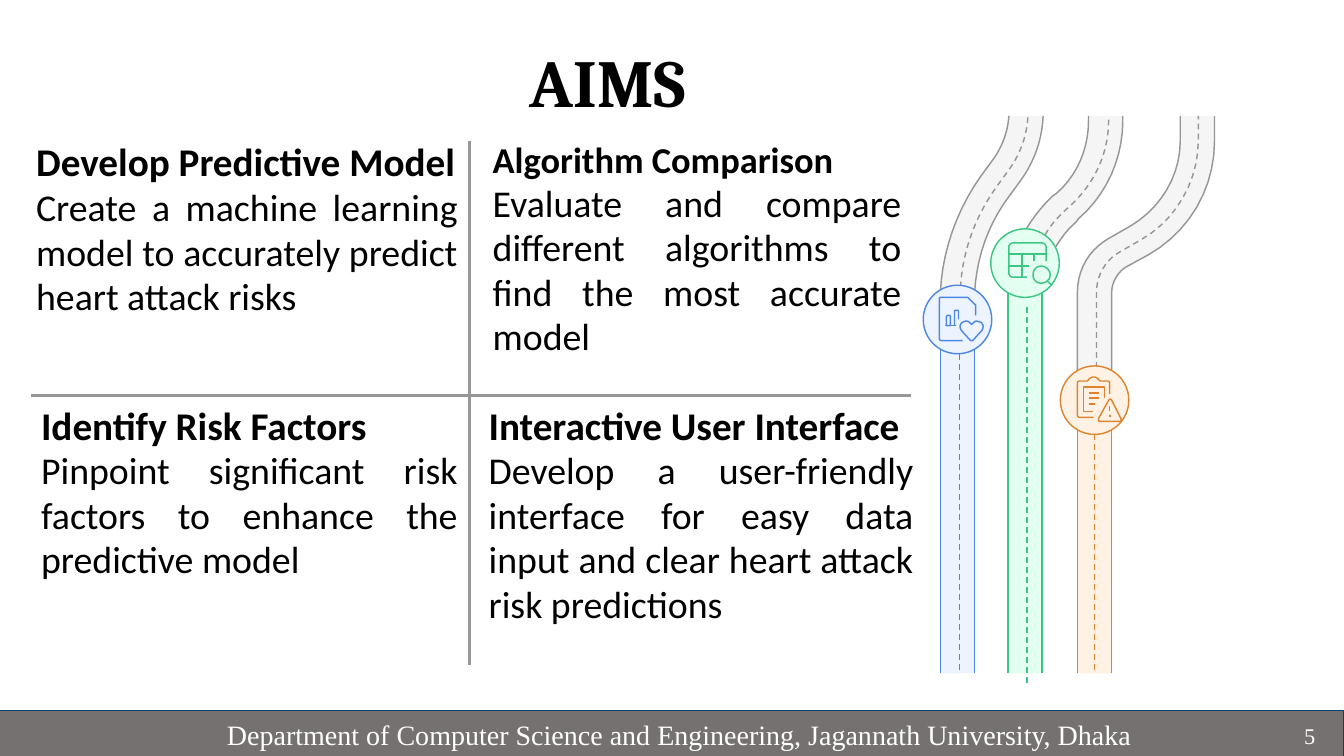
from lxml import etree
from pptx import Presentation
from pptx import util as u
from pptx.dml.color import RGBColor
from pptx.enum import dml, shapes, text
from pptx.oxml.ns import qn

UNIT = 0.0254

COLORS = {
    "black": "000000", "white": "FFFFFF", "gray": "969696", "road": "F5F5F5",
    "footer": "767171", "footer_edge": "034373",
    "orange": "DE8431", "orange_fill": "FFF2E5",
    "green": "3CC583", "green_fill": "E3FFF2",
    "blue": "4E88E7", "blue_fill": "EDF4FF",
}
TITLE = ("AIMS", (264, 36, 677, 88))
AIMS = [
    ("Develop Predictive Model", 28, "Create a machine learning model to accurately predict heart attack risks",
     (26, 134, 438, 253)),
    ("Algorithm Comparison", 26, "Evaluate and compare different algorithms to find the most accurate model",
     (479, 133, 425, 253)),
    ("Identify Risk Factors", 28, "Pinpoint significant risk factors to enhance the predictive model",
     (31, 395, 433, 265)),
    ("Interactive User Interface", 28,
     "Develop a user-friendly interface for easy data input and clear heart attack risk predictions",
     (475, 395, 441, 258)),
]
FOOTER = ("Department of Computer Science and Engineering, Jagannath University, Dhaka", (0, 705, 1333, 46))
PAGE = ("5", (1259, 710, 56, 40))
DIVIDERS = [(466, 140, 466, 660), (904, 392, 31, 392)]

ROADS = [
    ("M 933 290 C 935 249 949 209 973 175 L 984 160 C 994 147 1000 131 1001 115",
     "M 967 290 C 969 256 980 223 1001 195 L 1012 180 C 1026 161 1034 139 1035 115",
     "M 953 285 C 955 249 968 214 989 185 L 1000 170 C 1012 154 1019 135 1020 115"),
    ("M 1017 229 C 1025 216 1034 204 1045 194 L 1048 192 C 1069 174 1080 147 1080 120 L 1080 115",
     "M 1048 245 C 1048 244 1049 242 1050 241 C 1055 233 1061 226 1068 220 L 1070 217 "
     "C 1098 193 1114 157 1114 120 L 1114 115",
     "M 1037 233 C 1043 222 1052 213 1061 205 C 1086 183 1100 152 1100 120 L 1100 115"),
    ("M 1069 370 L 1069 290 C 1069 267 1081 247 1101 236 L 1122 224 C 1152 206 1171 174 1171 140 L 1171 115",
     "M 1103 370 L 1103 290 C 1103 280 1109 270 1117 265 L 1139 253 C 1180 230 1205 187 1205 140 L 1205 115",
     "M 1088 365 L 1088 290 C 1088 273 1097 258 1111 250 L 1132 238 C 1167 218 1189 180 1189 139 L 1189 115"),
]

WARNING_ICON = (
    "M 1096 395 L 1096 384 L 1075 384 L 1075 408 L 1084 408 "
    "M 1085 414 L 1071 414 C 1070 414 1069 413 1069 412 L 1069 380 C 1069 379 1070 378 1071 378 L 1079 378 "
    "C 1080 376 1083 374 1085 374 C 1088 374 1090 376 1091 378 L 1099 378 C 1100 378 1101 379 1101 380 L 1101 391 "
    "M 1080 390 L 1090 390 M 1080 395 L 1090 395 M 1086 401 L 1080 401 "
    "M 1101 412 L 1101 413 L 1102 413 L 1101 412 M 1101 403 L 1101 408 "
    "M 1112 415 C 1113 416 1113 416 1112 417 C 1112 418 1111 418 1111 418 L 1092 418 "
    "C 1091 418 1090 418 1090 417 C 1090 416 1090 416 1090 415 L 1100 397 "
    "C 1100 397 1101 396 1101 396 C 1102 396 1103 397 1103 397 Z")
TABLE_ICON = (
    "M 1001 252 L 1001 245 C 1001 243 1003 241 1005 241 L 1034 241 C 1036 241 1038 243 1038 245 L 1038 259 "
    "M 1038 252 L 1001 252 M 1019 275 L 1005 275 C 1003 275 1001 273 1001 271 L 1001 252 "
    "M 1014 252 L 1014 275 M 1001 264 L 1021 264 M 1026 252 L 1026 259 M 1044 283 L 1039 279 "
    "M 1042 273 C 1042 277 1038 281 1033 281 C 1028 281 1025 277 1025 273 "
    "C 1025 268 1028 264 1033 264 C 1038 264 1042 268 1042 273 Z")
REPORT_ICON = (
    "M 955 338 L 934 338 C 933 338 932 337 932 336 L 932 296 C 932 295 933 295 934 295 L 959 295 "
    "C 959 295 960 295 960 295 L 967 302 C 968 302 968 303 968 303 L 968 313 M 949 323 L 938 323 "
    "M 939 314 L 939 323 L 943 323 L 943 314 C 943 314 943 313 942 313 L 940 313 C 940 313 939 314 939 314 Z "
    "M 951 317 L 951 309 C 951 308 950 308 950 308 L 948 308 C 947 308 947 308 947 309 L 947 323 "
    "M 965 338 C 964 338 964 338 964 338 C 964 338 963 338 963 338 L 954 328 C 953 327 952 324 953 322 "
    "C 954 320 956 319 957 319 C 959 318 961 319 962 320 L 964 322 L 966 320 "
    "C 967 319 969 318 970 319 C 972 319 974 320 975 322 C 976 324 975 327 974 328 Z")
LANE_WIDTH, CIRCLE, LANE_BOTTOM = 34, 68, 668
LANES = [
    ("orange", 1086, 363, (1086, 431, 668), WARNING_ICON),
    ("green", 1017, 227, (1019, 305, 678), TABLE_ICON),
    ("blue", 950, 283, (952, 351, 668), REPORT_ICON),
]


def place(*values):
    return [u.Cm(value * UNIT) for value in values]


def rgb(name):
    return RGBColor.from_string(COLORS[name])


def paint(shape, fill=None, line=None, width=1.02, dashed=False):
    shape.shadow.inherit = False
    if fill:
        shape.fill.solid()
        shape.fill.fore_color.rgb = rgb(fill)
    else:
        shape.fill.background()
    if line:
        stroke(shape.line, line, width, dashed)
    else:
        shape.line.fill.background()


def stroke(line, color, width, dashed=False):
    line.color.rgb = rgb(color)
    line.width = u.Pt(width)
    if dashed:
        line.dash_style = dml.MSO_LINE.DASH


def add_line(parent, ends, color, width=1.02, dashed=False):
    connector = parent.add_connector(shapes.MSO_CONNECTOR.STRAIGHT, *place(*ends))
    stroke(connector.line, color, width, dashed)
    etree.SubElement(connector._element.spPr, qn("a:effectLst"))
    return connector


def curve(points, steps=10):
    for step in range(1, steps + 1):
        t = step / steps
        weights = ((1 - t) ** 3, 3 * t * (1 - t) ** 2, 3 * t * t * (1 - t), t ** 3)
        yield tuple(sum(w * p[axis] for w, p in zip(weights, points)) for axis in (0, 1))


def trace(outline):
    contours, tokens = [], iter(outline.split())
    for command in tokens:
        if command == "Z":
            contours[-1].append(contours[-1][0])
            continue
        count = 3 if command == "C" else 1
        points = [(float(next(tokens)), float(next(tokens))) for _ in range(count)]
        if command == "M":
            contours.append(points)
        elif command == "L":
            contours[-1] += points
        else:
            contours[-1] += curve([contours[-1][-1]] + points)
    return contours


def add_outline(parent, contours, **style):
    contours = [[place(*point) for point in contour] for contour in contours]
    builder = parent.build_freeform(*contours[0][0], scale=1.0)
    for index, contour in enumerate(contours):
        if index:
            builder.move_to(*contour[0])
        builder.add_line_segments(contour[1:], close=False)
    paint(builder.convert_to_shape(), **style)


def write(paragraph, words, size, font, color="black", bold=False, align=text.PP_ALIGN.LEFT):
    paragraph.text = words
    paragraph.alignment = align
    for run in paragraph.runs:
        run.font.size = u.Pt(size)
        run.font.name = font
        run.font.bold = bold
        run.font.color.rgb = rgb(color)


def add_roads(parent):
    edges = [trace(left + " " + right) for left, right, _ in ROADS]
    add_outline(parent, [left + right[::-1] + left[:1] for left, right in edges], fill="road")
    add_outline(parent, [edge for pair in edges for edge in pair], line="gray")
    add_outline(parent, [trace(center)[0] for _, _, center in ROADS], line="gray", dashed=True)


def add_lane(parent, color, center, circle_top, dash, icon):
    group = parent.add_group_shape().shapes
    left, top = center - LANE_WIDTH / 2, circle_top + CIRCLE - 4
    strip = group.add_shape(shapes.MSO_SHAPE.RECTANGLE, *place(left, top, LANE_WIDTH, LANE_BOTTOM - top))
    paint(strip, fill=color + "_fill")
    for side in (left, left + LANE_WIDTH):
        add_line(group, (side, top, side, LANE_BOTTOM), color)
    circle = group.add_shape(shapes.MSO_SHAPE.OVAL, *place(center - CIRCLE / 2, circle_top, CIRCLE, CIRCLE))
    paint(circle, fill=color + "_fill", line=color)
    x, start, end = dash
    middle = add_line(parent, (x, start, x, end), color, dashed=True)
    if (x, end) == (center, LANE_BOTTOM):
        middle.end_connect(strip, 2)
    add_outline(parent, trace(icon), line=color)


def add_bar(parent, content, size, align, edge=None):
    words, box = content
    bar = parent.add_shape(shapes.MSO_SHAPE.RECTANGLE, *place(*box))
    paint(bar, fill="footer", line=edge, width=0.75)
    bar.text_frame.vertical_anchor = text.MSO_ANCHOR.MIDDLE
    write(bar.text_frame.paragraphs[0], words, size, "Times New Roman", "white", align=align)
    return bar


def main():
    presentation = Presentation()
    presentation.slide_width, presentation.slide_height = u.Cm(33.87), u.Cm(19.05)
    slide = presentation.slides.add_slide(presentation.slide_layouts[5])
    parent = slide.shapes
    for ends in DIVIDERS:
        add_line(parent, ends, "gray", 2.25)
    add_roads(parent)
    for lane in LANES:
        add_lane(parent, *lane)
    footer = add_bar(parent, FOOTER, 20, text.PP_ALIGN.LEFT, "footer_edge")
    footer.text_frame.margin_left = u.Cm(5.72)

    words, box = TITLE
    title = parent.title
    title.left, title.top, title.width, title.height = place(*box)
    title.text_frame.vertical_anchor = text.MSO_ANCHOR.MIDDLE
    write(title.text_frame.paragraphs[0], words, 48, "Cambria", bold=True, align=text.PP_ALIGN.CENTER)

    for heading, size, detail, box in AIMS:
        frame = parent.add_textbox(*place(*box)).text_frame
        frame.word_wrap = True
        write(frame.paragraphs[0], heading, size, "Calibri", bold=True)
        write(frame.add_paragraph(), detail, 27, "Calibri", align=text.PP_ALIGN.JUSTIFY)
        for paragraph in frame.paragraphs:
            paragraph.line_spacing = 0.98
    add_bar(parent, PAGE, 16, text.PP_ALIGN.RIGHT)
    presentation.save("out.pptx")


if __name__ == "__main__":
    main()
